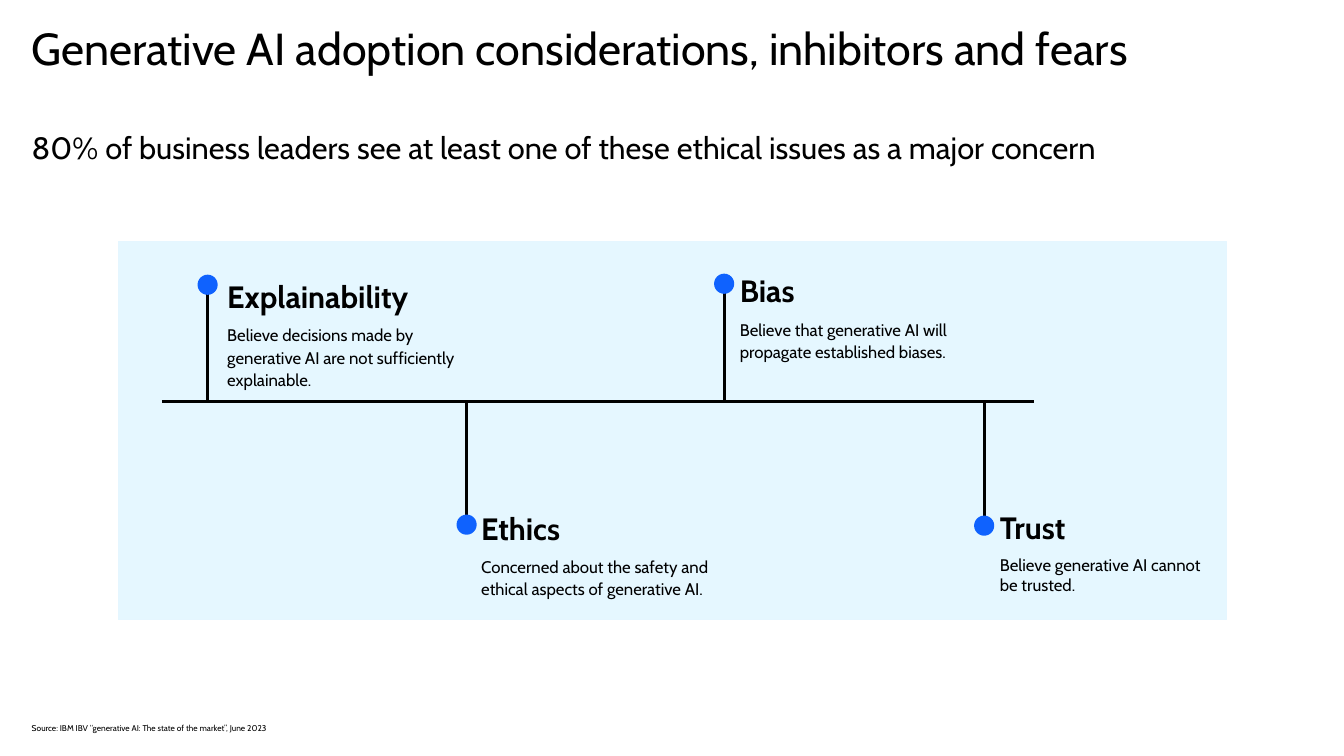
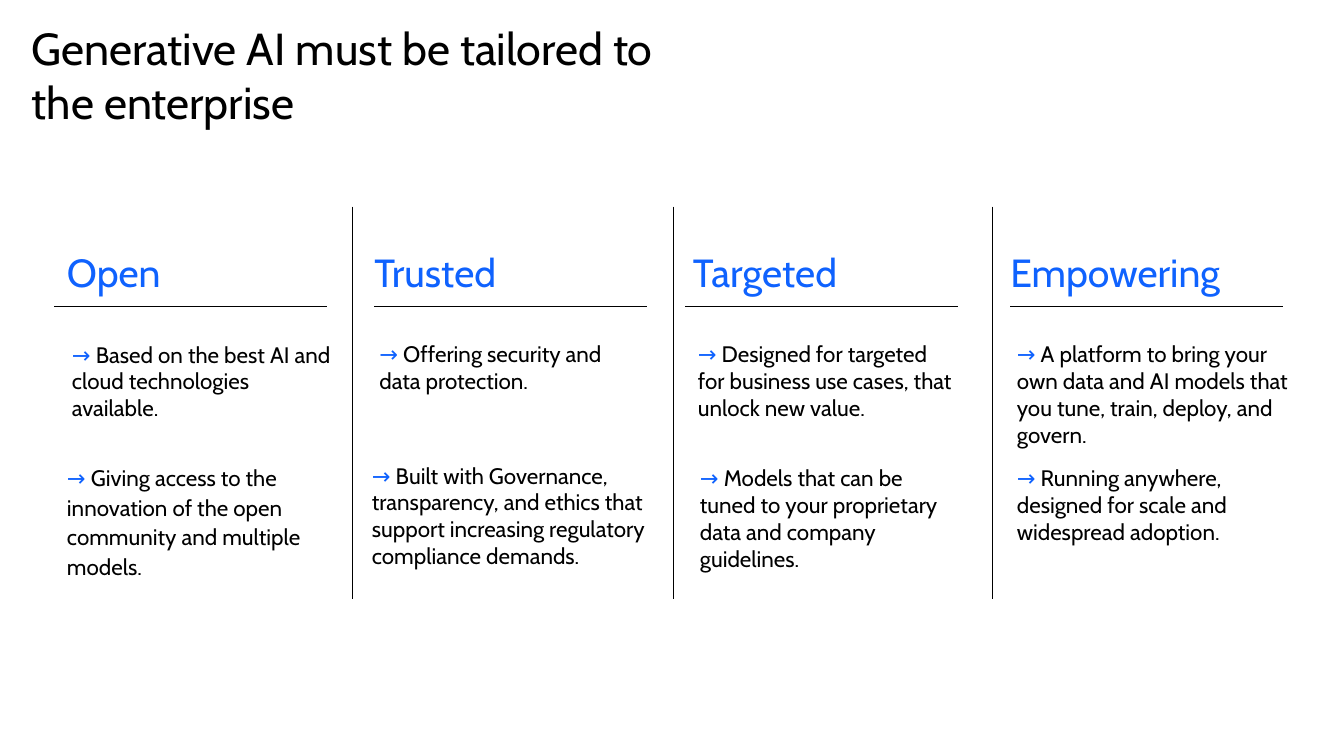
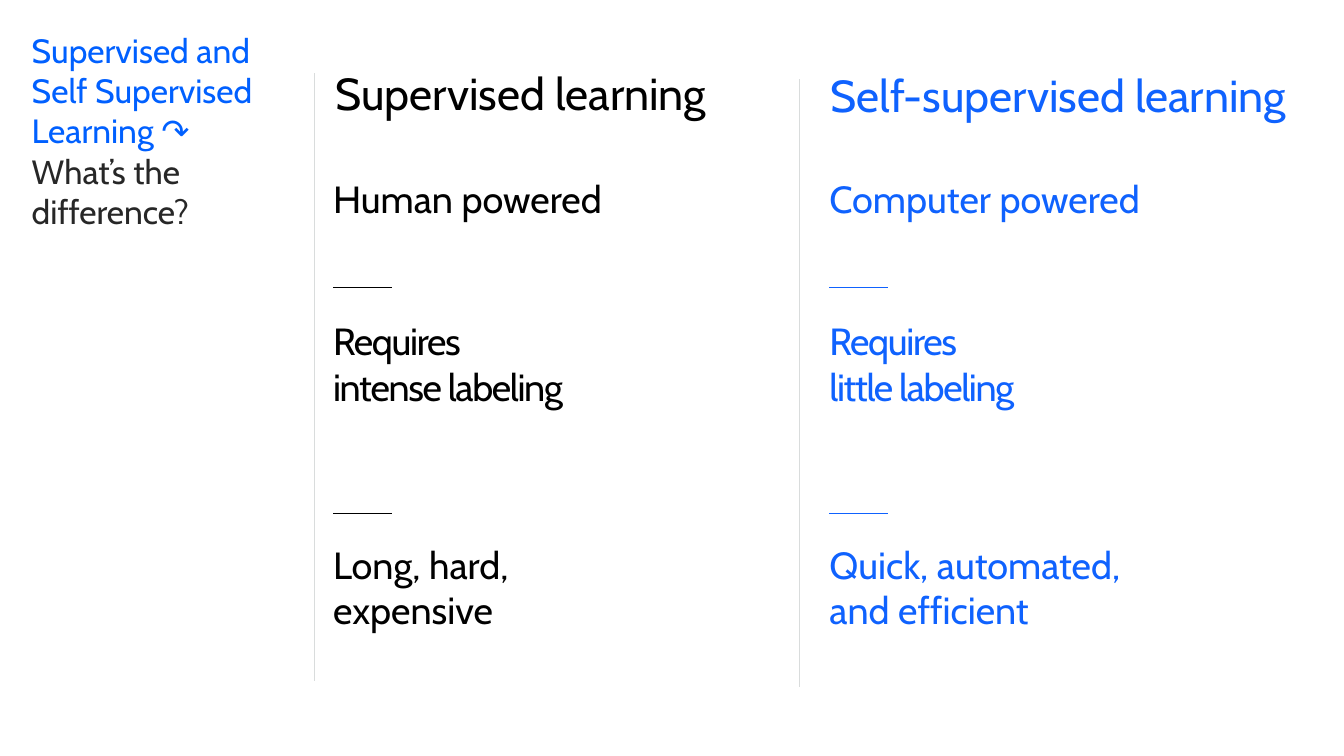
"""Build three slides on generative AI adoption, enterprise fit and learning methods."""
from lxml import etree
from pptx import Presentation
from pptx import util as u
from pptx.dml import color
from pptx.enum import shapes, text
from pptx.oxml import ns

COLORS = {
    "paper": "FFFFFF", "ink": "000000", "blue": "0F62FE", "title_blue": "0060FF",
    "panel": "E5F7FF", "panel_edge": "E5F6FF", "soft_ink": "272727", "divider": "8C9696",
}
FONT = "Cabin"
NO_INSETS = (0, 0, 0, 0)
DEFAULT_INSETS = (0.1, 0.05, 0.1, 0.05)


class Deck:
    """Hold the shared style and the current slide."""

    def __init__(self):
        self.presentation = Presentation()
        self.presentation.slide_width = u.Inches(26.67)
        self.presentation.slide_height = u.Inches(15)
        self.slide = None

    def add_slide(self):
        self.slide = self.presentation.slides.add_slide(self.presentation.slide_layouts[6])
        fill = self.slide.background.fill
        fill.solid()
        fill.fore_color.rgb = self.color("paper")

    def color(self, name):
        return color.RGBColor.from_string(COLORS[name])

    def shape(self, kind, box, fill, edge=None, edge_width=1.5):
        shape = self.slide.shapes.add_shape(kind, *map(u.Inches, box))
        shape.shadow.inherit = False
        shape.fill.solid()
        shape.fill.fore_color.rgb = self.color(fill)
        if edge:
            shape.line.color.rgb = self.color(edge)
            shape.line.width = u.Pt(edge_width)
        else:
            shape.line.fill.background()

    def dot(self, x, y, size=0.4):
        box = (x - size / 2, y - size / 2, size, size)
        self.shape(shapes.MSO_SHAPE.OVAL, box, "blue")

    def line(self, start, end, width=1, stroke="ink", opacity=None):
        line = self.slide.shapes.add_connector(
            shapes.MSO_CONNECTOR.STRAIGHT, *map(u.Inches, (*start, *end)))
        line.line.color.rgb = self.color(stroke)
        line.line.width = u.Pt(width)
        properties = line._element.spPr
        if opacity:
            fill = properties.find(".//" + ns.qn("a:srgbClr"))
            etree.SubElement(fill, ns.qn("a:alpha")).set("val", str(opacity * 1000))
        etree.SubElement(properties, ns.qn("a:effectLst"))

    def text(self, box, paragraphs, insets=NO_INSETS, wrap=True, spacing=None, after=0,
             before=0, tracking=0):
        """Each paragraph is a list of (text, size, color, bold) runs."""
        frame = self.slide.shapes.add_textbox(*map(u.Inches, box)).text_frame
        frame.word_wrap = wrap
        if not wrap:
            frame.auto_size = text.MSO_AUTO_SIZE.SHAPE_TO_FIT_TEXT
        (frame.margin_left, frame.margin_top,
         frame.margin_right, frame.margin_bottom) = map(u.Inches, insets)
        for index, runs in enumerate(paragraphs):
            paragraph = frame.add_paragraph() if index else frame.paragraphs[0]
            paragraph.space_after = u.Pt(after)
            if index:
                paragraph.space_before = u.Pt(before)
            if spacing:
                paragraph.line_spacing = spacing
            for content, size, ink, *bold in runs:
                run = paragraph.add_run()
                run.text = content
                run.font.name = FONT
                run.font.size = u.Pt(size)
                run.font.bold = bool(bold)
                run.font.color.rgb = self.color(ink)
                if tracking:
                    run._r.get_or_add_rPr().set("spc", str(int(tracking * 100)))

    def title(self, paragraphs, width, top=0.42, before=0):
        self.text((0.63, top, width, 1.67), paragraphs, before=before)

    def arrow_note(self, box, content, insets=DEFAULT_INSETS, spacing=None):
        self.text(box, [[("→ ", 32, "blue"), (content, 32, "ink")]], insets, spacing=spacing)


def build_concerns(deck):
    deck.add_slide()
    deck.shape(shapes.MSO_SHAPE.RECTANGLE, (2.35, 4.79, 21.98, 7.51), "panel", "panel_edge")
    deck.title([
        [("Generative AI adoption considerations, inhibitors and fears", 64, "ink")],
        [("80% of business leaders see at least one of these ethical issues as a major concern",
          44, "ink")],
    ], 25.4, before=77)
    axis = 7.96
    deck.line((3.21, axis), (20.51, axis), 4)
    wide_insets = (0.5, 0, 0.5, 0.5)
    concerns = [
        ("Explainability",
         "Believe decisions made by generative AI are not sufficiently explainable.",
         (4.12, 5.65), (4.41, 5.39, 5.15, 2.65), DEFAULT_INSETS, (1.1, 1.1)),
        ("Ethics", "Concerned about the safety and ethical aspects of generative AI.",
         (9.26, 10.41), (9.45, 9.99, 5.38, 2.65), DEFAULT_INSETS, (1.1, 1.1)),
        ("Bias", "Believe that generative AI will propagate established biases.",
         (14.37, 5.63), (14.18, 5.4, 5.87, 2.46), wide_insets, (1, 1.1)),
        ("Trust", "Believe generative AI cannot be trusted.",
         (19.53, 10.43), (19.34, 10.1, 5.87, 2.01), (0.5, 0, 1, 0.5), (1, 1)),
    ]
    for name, detail, (x, y), box, insets, (name_spacing, detail_spacing) in concerns:
        deck.line((x, axis), (x, y), 4)
        deck.text(box, [[(name, 44, "ink", True)], [(detail, 24, "ink")]], insets,
                  spacing=detail_spacing, after=12)
        frame = deck.slide.shapes[-1].text_frame
        frame.paragraphs[0].line_spacing = name_spacing
        deck.dot(x, y)
    deck.text((0.63, 14.34, 5.15, 0.2), [[
        ("Source: IBM IBV “generative AI: The state of the market”, June 2023", 12, "ink")]],
        wrap=False)


def build_pillars(deck):
    deck.add_slide()
    deck.title([[("Generative AI must be tailored to the enterprise", 64, "ink")]], 12.7)
    pillars = [
        ("Open", 1.33, 1.08,
         ((1.33, 6.71, 5.36, 1.52), "Based on the best AI and cloud technologies available."),
         ((1.33, 9.16, 5.36, 1.89), "Giving access to the innovation of the open community "
          "and multiple models.", NO_INSETS, 1.1)),
        ("Trusted", 7.43, 7.43,
         ((7.43, 6.7, 5.28, 1.2), "Offering security and data protection."),
         ((7.38, 9.16, 5.63, 2.9), "Built with Governance, transparency, and ethics that "
          "support increasing regulatory compliance demands.", NO_INSETS)),
        ("Targeted", 13.75, 13.6,
         ((13.75, 6.7, 5.28, 1.72), "Designed for targeted for business use cases, that "
          "unlock new value."),
         ((13.79, 9.16, 5.28, 2.26), "Models that can be tuned to your proprietary data and "
          "company guidelines.")),
        ("Empowering", 20.05, 20.05,
         ((20.08, 6.7, 5.75, 2.26), "A platform to bring your own data and AI models that "
          "you tune, train, deploy, and govern."),
         ((20.08, 9.16, 5.45, 1.99), "Running anywhere, designed for scale and widespread "
          "adoption.")),
    ]
    for name, left, rule_left, *notes in pillars:
        deck.text((left, 4.83, 4.67, 1.38), [[(name, 56, "blue")]], spacing=1.1)
        deck.line((rule_left, 6.07), (rule_left + 5.41, 6.07))
        for note in notes:
            deck.arrow_note(*note)
    for x in (6.99, 13.36, 19.69):
        deck.line((x, 4.1), (x, 11.88))


def build_comparison(deck):
    deck.add_slide()
    deck.title([
        [("Supervised and", 48, "title_blue")],
        [("Self Supervised Learning ↷", 48, "title_blue")],
        [("What’s the difference?", 48, "soft_ink")],
    ], 6.09, top=0.59)
    columns = [
        ("ink", 6.61, (6.24, 1.45), (6.66, 1.4, 7.85, 0.99), "Supervised learning", [
            (["Human powered"], 5.67),
            (["Requires", "intense labeling"], 4.98),
            (["Long, hard,", "expensive"], 3.78)]),
        ("blue", 16.46, (15.87, 1.57), (16.48, 1.45, 9.63, 0.99), "Self-supervised learning", [
            (["Computer powered"], 6.57),
            (["Requires", "little labeling"], 4.17),
            (["Quick, automated,", "and efficient"], 6.22)]),
    ]
    rows = [(3.49, 0), (6.31, -1.9), (10.74, 0)]
    for ink, left, (divider_x, divider_top), heading_box, heading, traits in columns:
        deck.line((divider_x, divider_top), (divider_x, divider_top + 12.06),
                  0.75, "divider", 50)
        deck.text(heading_box, [[(heading, 64, ink)]], wrap=False, spacing=0.92)
        for (top, tracking), (lines, width) in zip(rows, traits):
            deck.text((left, top, width, 0.91 * len(lines)),
                      [[(line, 54, ink)] for line in lines], wrap=False, tracking=tracking)
        for y in (5.7, 10.19):
            deck.line((left, y), (left + 1.17, y), 0.75, ink)


def main():
    deck = Deck()
    for build in (build_concerns, build_pillars, build_comparison):
        build(deck)
    deck.presentation.save("out.pptx")


if __name__ == "__main__":
    main()
